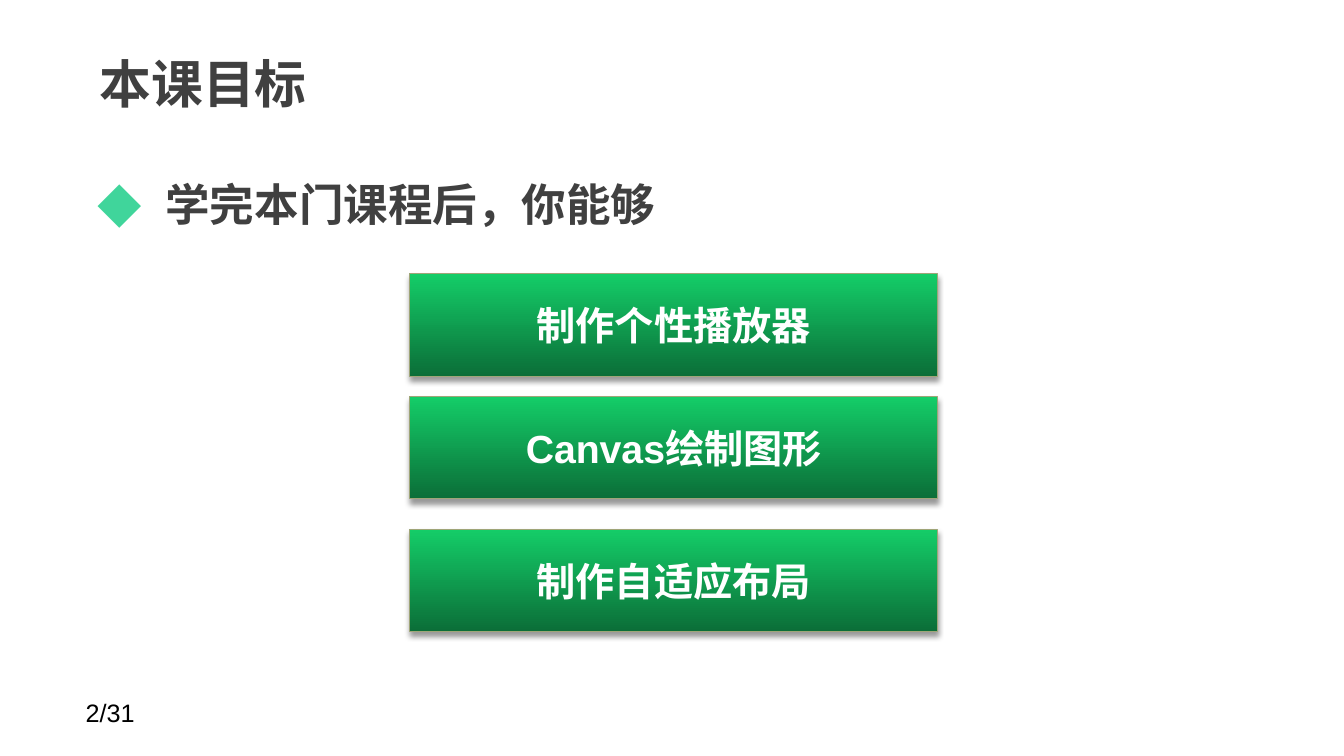
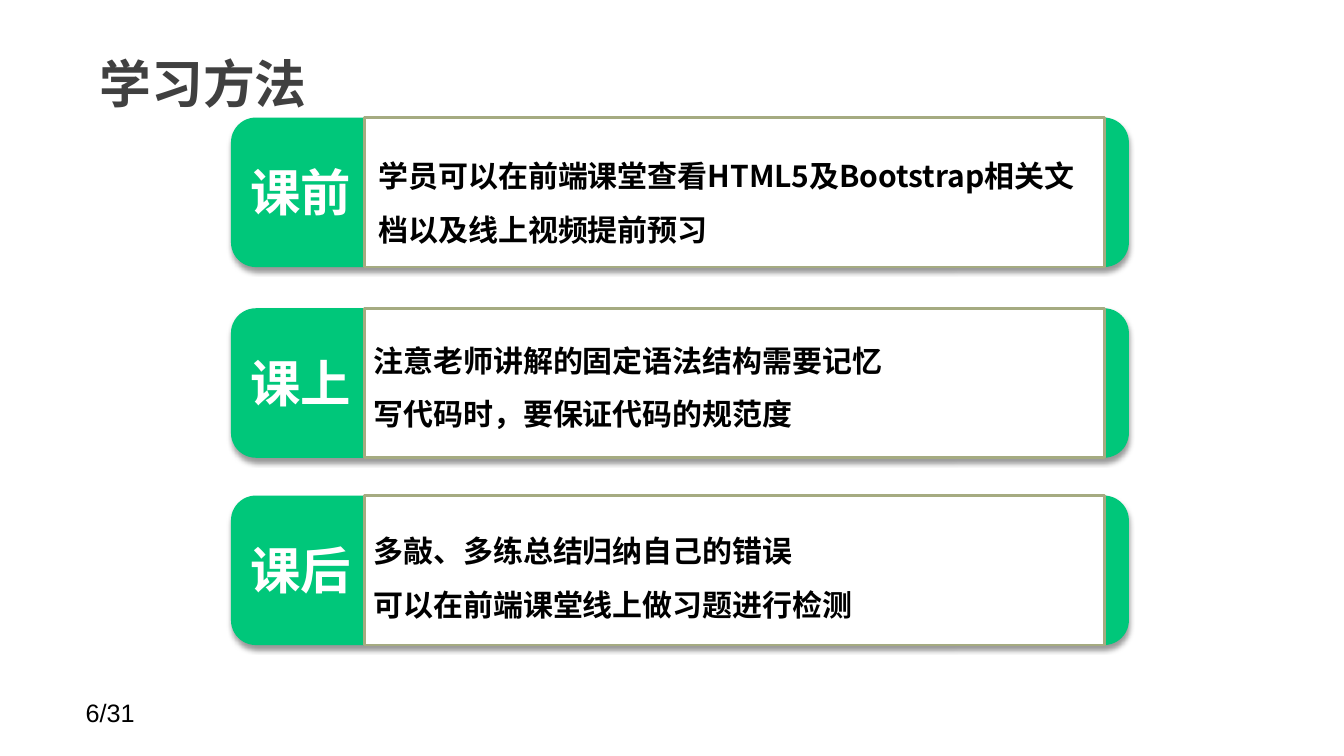
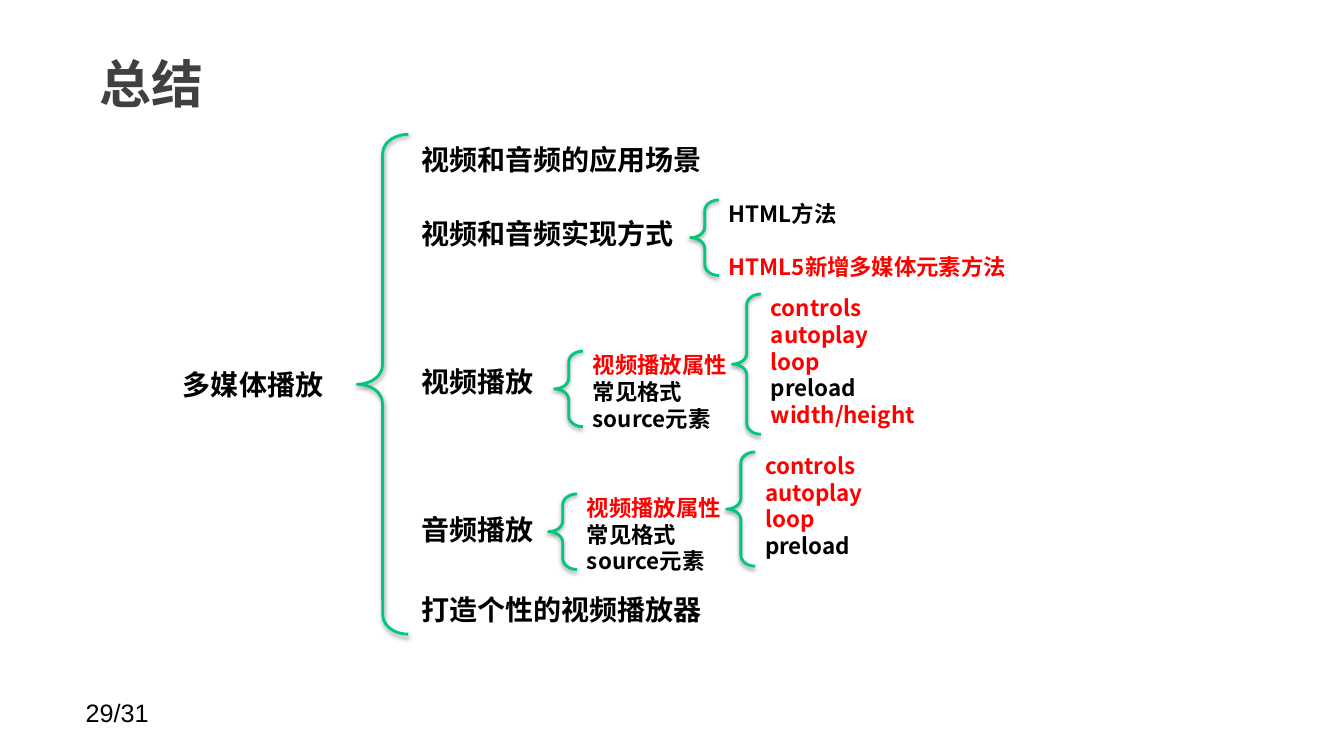
from dataclasses import dataclass

from lxml import etree
from pptx import Presentation
from pptx.dml.color import RGBColor
from pptx.enum.shapes import MSO_SHAPE
from pptx.enum.text import MSO_ANCHOR, PP_ALIGN
from pptx.oxml.ns import qn
from pptx.util import Inches, Pt

RECTANGLE = MSO_SHAPE.RECTANGLE
ROUNDED = MSO_SHAPE.ROUNDED_RECTANGLE
BRACE = MSO_SHAPE.LEFT_BRACE
LEFT, CENTER = PP_ALIGN.LEFT, PP_ALIGN.CENTER
MIDDLE, TOP = MSO_ANCHOR.MIDDLE, MSO_ANCHOR.TOP


@dataclass(frozen=True)
class Theme:
    heading: str = "404040"
    ink: str = "000000"
    paper: str = "FFFFFF"
    accent: str = "00C77A"
    alert: str = "FF0000"
    bullet: str = "40D59B"
    gradient: tuple = ("14CD68", "0B6E38")
    goal_edge: str = "9FA578"
    card_edge: str = "A5AB81"
    cjk: str = "Noto Sans CJK SC"
    latin: str = "Arial"
    title_size: float = 37
    lead_size: float = 31.8
    label_size: float = 36
    goal_size: float = 28
    card_size: float = 21.4
    outline_size: float = 20
    detail_size: float = 16
    footer_size: float = 18
    box_shadow: tuple = (40, 4, 3)
    brace_shadow: tuple = (38, 3.1, 1.6)


theme = Theme()
deck = Presentation()
deck.slide_width, deck.slide_height = Inches(13.33), Inches(7.5)
COLUMN, ROW = deck.slide_width / 160, deck.slide_height / 90


def draw(page, kind, left, top, width, height, shadow=None):
    area = [round(n) for n in (left * COLUMN, top * ROW, width * COLUMN, height * ROW)]
    if kind is None:
        return page.shapes.add_textbox(*area)
    shape = page.shapes.add_shape(kind, *area)
    shape.shadow.inherit = False
    if shadow:
        alpha, blur, distance = shadow
        effects = shape._element.spPr.find(qn("a:effectLst"))
        outer = etree.SubElement(effects, qn("a:outerShdw"), blurRad=str(Pt(blur)),
                                 dist=str(Pt(distance)), dir="5400000", rotWithShape="0")
        colour = etree.SubElement(outer, qn("a:srgbClr"), val="000000")
        etree.SubElement(colour, qn("a:alpha"), val=str(alpha * 1000))
    return shape


def write(box, text, size, colour, align=LEFT, font=theme.cjk, bold=True, spacing=1.0):
    frame = box.text_frame
    frame.text = text
    frame.word_wrap = True
    for para in frame.paragraphs:
        para.alignment = align
        para.line_spacing = spacing
        para.space_before = Pt(0)
        for span in para.runs:
            span.font.size = Pt(size)
            span.font.bold = bold
            span.font.color.rgb = RGBColor.from_string(colour)
            span.font.name = font
            etree.SubElement(span._r.get_or_add_rPr(), qn("a:ea"), typeface=theme.cjk)
    return frame


TITLE_AND_BODY, TITLE_ONLY = deck.slide_layouts[1], deck.slide_layouts[5]
PLACES = {0: (10.3, 3.6, 125, 12.4), 1: (10.1, 17.2, 140.3, 63.2)}
pages = []
for layout, title, number in (
    (TITLE_AND_BODY, "本课目标", 2),
    (TITLE_ONLY, "学习方法", 6),
    (TITLE_ONLY, "总结", 29),
):
    page = deck.slides.add_slide(layout)
    pages.append(page)
    for holder in page.placeholders:
        left, top, width, height = PLACES[holder.placeholder_format.idx]
        holder.left, holder.top = round(left * COLUMN), round(top * ROW)
        holder.width, holder.height = round(width * COLUMN), round(height * ROW)
        frame = holder.text_frame
        frame.margin_left = frame.margin_right = Inches(0.13)
        frame.margin_top = frame.margin_bottom = Inches(0.06)
    write(page.shapes.title, title, theme.title_size, theme.heading)
    page.shapes.title.text_frame.vertical_anchor = MIDDLE
    footer = draw(page, None, 9, 82.4, 28, 4.8)
    write(footer, f"{number}/31", theme.footer_size, theme.ink, font=theme.latin, bold=False)

goals_page, methods_page, summary_page = pages

lead = write(goals_page.placeholders[1], "学完本门课程后，你能够",
             theme.lead_size, theme.heading, spacing=1.5)
lead_format = lead.paragraphs[0]._p.get_or_add_pPr()
lead_format.set("marL", str(Inches(0.67)))
lead_format.set("indent", str(-Inches(0.67)))
bullet_colour = etree.SubElement(lead_format, qn("a:buClr"))
etree.SubElement(bullet_colour, qn("a:srgbClr"), val=theme.bullet)
etree.SubElement(lead_format, qn("a:buFont"), typeface=theme.cjk)
etree.SubElement(lead_format, qn("a:buChar"), char="◆")

for top, goal in ((32.6, "制作个性播放器"), (47.2, "Canvas绘制图形"), (63, "制作自适应布局")):
    button = draw(goals_page, RECTANGLE, 48.8, top, 62.8, 12.2, theme.box_shadow)
    button.fill.gradient()
    button.fill.gradient_angle = 270
    for stop, colour in zip(button.fill.gradient_stops, theme.gradient):
        stop.color.rgb = RGBColor.from_string(colour)
    button.line.color.rgb = RGBColor.from_string(theme.goal_edge)
    button.line.width = Pt(0.75)
    write(button, goal, theme.goal_size, theme.paper, CENTER, theme.latin)

for top, stage, advice, area in (
    (14, "课前", "学员可以在前端课堂查看HTML5及Bootstrap相关文档以及线上视频提前预习",
     (43.9, 16, 85.4, 14.2)),
    (36.7, "课上", "注意老师讲解的固定语法结构需要记忆\n写代码时，要保证代码的规范度",
     (43.3, 38, 111.2, 20.6)),
    (59, "课后", "多敲、多练总结归纳自己的错误\n可以在前端课堂线上做习题进行检测",
     (43.3, 60.7, 111.2, 14.2)),
):
    card = draw(methods_page, ROUNDED, 27.5, top, 106.9, 17.8, theme.box_shadow)
    card.fill.solid()
    card.fill.fore_color.rgb = RGBColor.from_string(theme.accent)
    card.line.fill.background()
    panel = draw(methods_page, RECTANGLE, 43.4, top, 88.1, 17.8)
    panel.fill.solid()
    panel.fill.fore_color.rgb = RGBColor.from_string(theme.paper)
    panel.line.color.rgb = RGBColor.from_string(theme.card_edge)
    panel.line.width = Pt(2)
    label = draw(methods_page, None, 28.6, top + 4.6, 14.4, 8.5)
    write(label, stage, theme.label_size, theme.paper, CENTER).word_wrap = False
    write(draw(methods_page, None, *area), advice, theme.card_size, theme.ink, spacing=1.5)

topic = draw(summary_page, None, 20.6, 43.2, 21.8, 2.9)
write(topic, "多媒体播放", theme.outline_size, theme.ink)

OUTLINE = (
    ("视频和音频的应用场景", 0),
    ("视频和音频实现方式", 26.4),
    ("视频播放", 79.2),
    ("音频播放", 79.2),
    ("打造个性的视频播放器", 30.7),
)
outline = draw(summary_page, None, 49, 16, 37.9, 65.4)
outline_frame = write(outline, "\n".join(text for text, gap in OUTLINE),
                      theme.outline_size, theme.ink, spacing=1.1)
for para, (text, gap) in zip(outline_frame.paragraphs, OUTLINE):
    para.space_before = Pt(gap)

MEDIA_TOPICS = ("视频播放属性", "常见格式", "source元素")
AUDIO_ATTRIBUTES = ("controls", "autoplay", "loop", "preload")
KEY_POINTS = {"HTML5新增多媒体元素方法", "视频播放属性", "controls", "autoplay", "loop",
              "width/height"}
for left, top, width, height, details, gap in (
    (42.5, 16, 6.1, 59.5, (), 0),
    (82.2, 23.8, 3.4, 9, ("HTML方法", "HTML5新增多媒体元素方法"), 19.2),
    (66, 41.8, 3.4, 9, MEDIA_TOPICS, 0),
    (87.2, 35, 3.4, 16.7, AUDIO_ATTRIBUTES + ("width/height",), 0),
    (65.3, 58.8, 3.4, 9, MEDIA_TOPICS, 0),
    (86.5, 53.8, 3.4, 13.6, AUDIO_ATTRIBUTES, 0),
):
    brace = draw(summary_page, BRACE, left, top, width, height, theme.brace_shadow)
    brace.adjustments[0] = 0.376
    brace.fill.background()
    brace.line.color.rgb = RGBColor.from_string(theme.accent)
    brace.line.width = Pt(2)
    if not details:
        continue
    detail_width = 36.6 if gap else 20
    detail_height = max(len(details), 3) * 3.2 + 1.2
    notes = draw(summary_page, None, left + width, top - 0.6, detail_width, detail_height)
    frame = write(notes, "\n".join(details), theme.detail_size, theme.ink)
    frame.vertical_anchor = TOP
    for position, para in enumerate(frame.paragraphs):
        para.space_before = Pt(gap if position else 0)
        if para.text in KEY_POINTS:
            para.runs[0].font.color.rgb = RGBColor.from_string(theme.alert)

deck.save("out.pptx")
